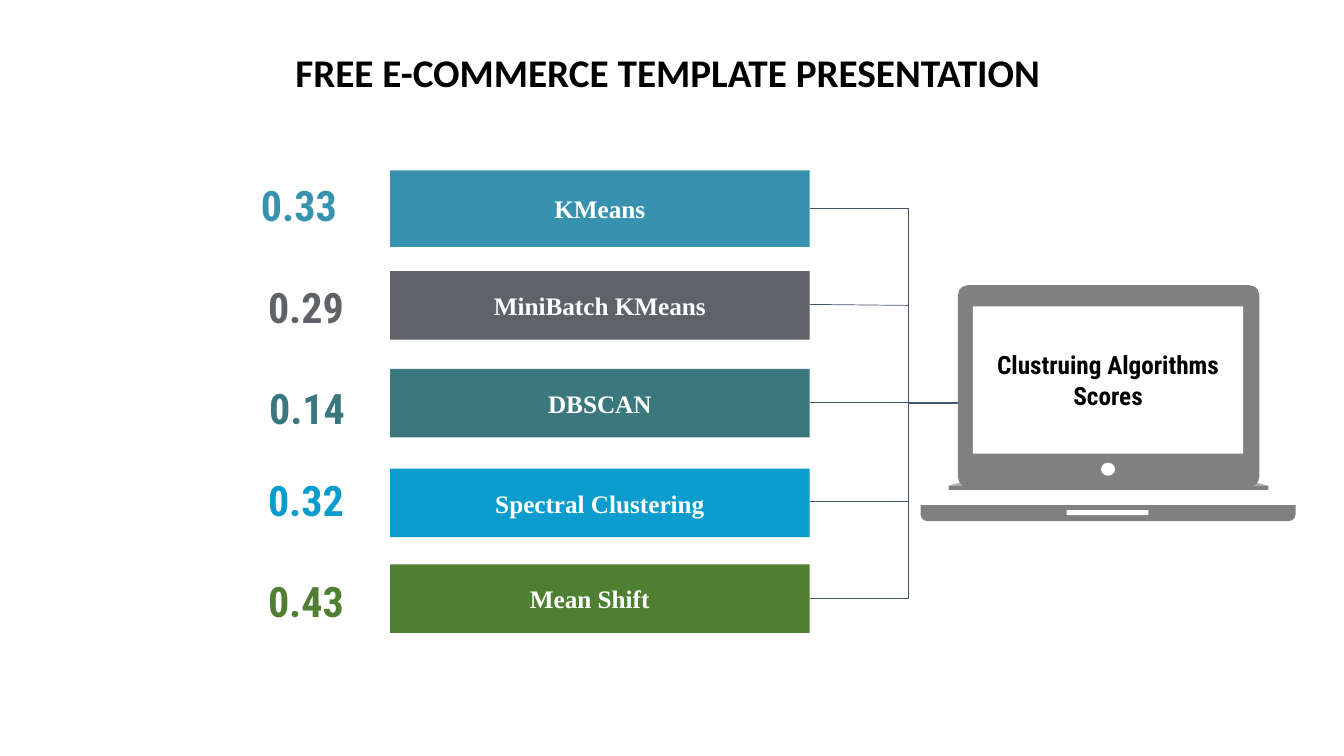
import pptx
import pptx.dml.color
import pptx.enum.shapes
import pptx.enum.text
import pptx.oxml.ns
import pptx.util
from lxml import etree

RGBColor = pptx.dml.color.RGBColor
Shape = pptx.enum.shapes.MSO_SHAPE
Connector = pptx.enum.shapes.MSO_CONNECTOR
Align = pptx.enum.text.PP_ALIGN
Anchor = pptx.enum.text.MSO_ANCHOR

PX = 9144
BLACK = RGBColor(0x00, 0x00, 0x00)
WHITE = RGBColor(0xFF, 0xFF, 0xFF)
GRAY = RGBColor(0x80, 0x80, 0x80)
LIGHT_GRAY = RGBColor(0xB0, 0xB0, 0xB0)
NAVY = RGBColor(0x44, 0x54, 0x6A)
BLUE = RGBColor(0x37, 0x92, 0xAF)
SLATE = RGBColor(0x5F, 0x63, 0x68)
TEAL = RGBColor(0x3A, 0x78, 0x7E)
CYAN = RGBColor(0x0A, 0x9C, 0xCD)
GREEN = RGBColor(0x4F, 0x7F, 0x32)

BAR_LEFT, BAR_WIDTH, BAR_RIGHT = 387, 416, 803
TRUNK_X, HUB_X, HUB_Y = 901, 998, 399

# name, score, colour, bar top, bar height, left inset, score left, score top
ALGORITHMS = [
    ("KMeans", "0.33", BLUE, 169, 76, 30, 249, 169),
    ("MiniBatch KMeans", "0.29", SLATE, 269, 68, 30, 256, 270),
    ("DBSCAN", "0.14", TEAL, 366, 68, 30, 257, 370),
    ("Spectral Clustering", "0.32", CYAN, 465, 68, 30, 256, 462),
    ("Mean Shift", "0.43", GREEN, 560, 68, 10, 256, 562),
]
BRANCHES = [
    (Connector.ELBOW, HUB_X, HUB_Y, 207),
    (Connector.ELBOW, HUB_X, HUB_Y + 1, 594),
    (Connector.STRAIGHT, HUB_X, HUB_Y, HUB_Y),
    (Connector.STRAIGHT, TRUNK_X, 497, 497),
    (Connector.STRAIGHT, TRUNK_X, 303, 302),
]


def px(*lengths):
    """Turn pixel lengths into EMU."""
    return [length * PX for length in lengths]


def write(shape, text, font_name, size, color, align, insets, anchor=Anchor.MIDDLE):
    """Put one bold paragraph into a shape."""
    frame = shape.text_frame
    frame.word_wrap = True
    frame.vertical_anchor = anchor
    (frame.margin_left, frame.margin_top,
     frame.margin_right, frame.margin_bottom) = px(*insets)
    paragraph = frame.paragraphs[0]
    paragraph.text = text
    paragraph.alignment = align
    font = paragraph.font
    font.name, font.size, font.bold = font_name, pptx.util.Pt(size), True
    font.color.rgb = color


def paint(shape, color):
    """Give a shape a flat fill without outline or shadow."""
    shape.shadow.inherit = False
    shape.fill.solid()
    shape.fill.fore_color.rgb = color
    shape.line.fill.background()


def add_block(slide, kind, box, color):
    """Add a flat preset shape."""
    shape = slide.shapes.add_shape(kind, *px(*box))
    paint(shape, color)
    return shape


def add_label(slide, box, *style):
    """Add a text box."""
    shape = slide.shapes.add_textbox(*px(*box))
    write(shape, *style)
    return shape


def add_branch(slide, kind, start_x, start_y, end_y):
    """Add a thin line that ends at the right edge of a bar."""
    line = slide.shapes.add_connector(kind, *px(start_x, start_y, BAR_RIGHT, end_y))
    line.line.color.rgb = NAVY
    line.line.width = pptx.util.Pt(0.5)
    etree.SubElement(line._element.spPr, pptx.oxml.ns.qn("a:effectLst"))


def add_laptop(slide):
    """Draw the laptop with the caption on its screen."""
    builder = slide.shapes.build_freeform(1217, 471, scale=PX)
    builder.add_line_segments([(981, 471), (940, 482), (1099, 486), (1258, 482)])
    paint(builder.convert_to_shape(), LIGHT_GRAY)
    add_block(slide, Shape.RECTANGLE, (941, 482, 317, 4), GRAY)
    base = add_block(slide, Shape.ROUND_2_SAME_RECTANGLE, (913, 501, 372, 16), GRAY)
    base.adjustments[0] = 0.44
    base.rotation = 180
    lid = add_block(slide, Shape.ROUNDED_RECTANGLE, (950, 283, 299, 200), GRAY)
    lid.adjustments[0] = 0.05
    screen = add_block(slide, Shape.RECTANGLE, (965, 304, 268, 146), WHITE)
    write(screen, "Clustruing Algorithms Scores", "Roboto Condensed", 18, BLACK,
          Align.CENTER, (10, 10, 10, 10))
    add_block(slide, Shape.RECTANGLE, (1058, 506, 81, 5), WHITE)
    add_block(slide, Shape.OVAL, (1092, 459, 14, 13), WHITE)


def add_algorithm(slide, name, score, color, top, height, inset, score_left, score_top):
    """Add the bar of one algorithm and its score."""
    bar = add_block(slide, Shape.RECTANGLE, (BAR_LEFT, top, BAR_WIDTH, height), color)
    write(bar, name, "Times New Roman", 18, WHITE, Align.CENTER, (inset, 10, 30, 10))
    add_label(slide, (score_left, score_top, 115, 68), score, "Roboto Condensed", 30,
              color, Align.LEFT, (10, 10, 10, 10))


def main():
    """Build and save the slide."""
    presentation = pptx.Presentation()
    presentation.slide_width, presentation.slide_height = px(1333, 750)
    slide = presentation.slides.add_slide(presentation.slide_layouts[6])
    title = add_label(slide, (108, 43, 1117, 57),
                      "FREE E-COMMERCE TEMPLATE PRESENTATION ", "Calibri", 28, BLACK,
                      Align.CENTER, (10, 5, 10, 5), Anchor.TOP)
    title.text_frame.auto_size = pptx.enum.text.MSO_AUTO_SIZE.SHAPE_TO_FIT_TEXT
    for branch in BRANCHES:
        add_branch(slide, *branch)
    add_laptop(slide)
    for algorithm in ALGORITHMS:
        add_algorithm(slide, *algorithm)
    presentation.save("out.pptx")


if __name__ == "__main__":
    main()
